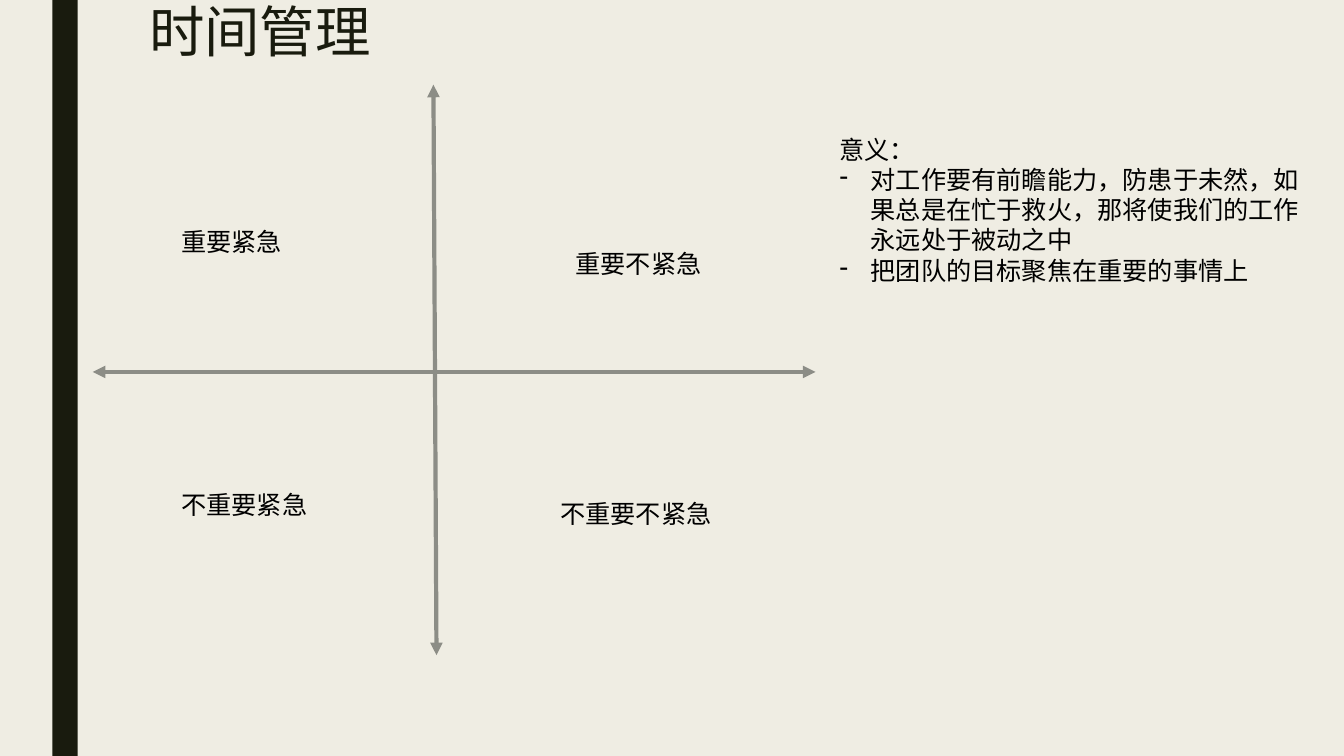
from dataclasses import dataclass

from lxml import etree
from pptx import Presentation
from pptx.dml.color import RGBColor
from pptx.enum.shapes import MSO_CONNECTOR, MSO_SHAPE
from pptx.enum.text import MSO_ANCHOR, MSO_AUTO_SIZE
from pptx.oxml.ns import qn
from pptx.util import Inches, Pt

RECT = MSO_SHAPE.RECTANGLE
STRAIGHT = MSO_CONNECTOR.STRAIGHT
MIDDLE, TOP = MSO_ANCHOR.MIDDLE, MSO_ANCHOR.TOP
FIT_SHAPE, NO_FIT = MSO_AUTO_SIZE.SHAPE_TO_FIT_TEXT, MSO_AUTO_SIZE.NONE

COLORS = {"paper": "EFEDE3", "ink": "191B0E", "axis": "8C8D86", "text": "000000"}
FONT = "Karla"
BODY_SIZE = 18
BULLET_INDENT = Inches(0.31)
LABEL_HEIGHT = 5.33

prs = Presentation()
prs.slide_width, prs.slide_height = Inches(13.333), Inches(7.5)


@dataclass
class Box:
    """A frame in percent of the slide's width and height."""
    left: float
    top: float
    width: float
    height: float


@dataclass
class Axis:
    """A double-headed line between two points, in percent of the slide."""
    x1: float
    y1: float
    x2: float
    y2: float


@dataclass
class Label:
    """The name of a quadrant and its place, in percent of the slide."""
    text: str
    left: float
    top: float
    width: float


AXES = [Axis(6.9, 49.2, 60.68, 49.2), Axis(32.25, 11.2, 32.48, 86.67)]
QUADRANTS = [
    Label("重要紧急", 12.75, 29.33, 9.08),
    Label("不重要紧急", 12.75, 64, 11.25),
    Label("重要不紧急", 42.08, 32.13, 11.4),
    Label("不重要不紧急", 40.95, 65.2, 13.13),
]
MEANING = [
    "意义:".replace(":", "："),
    "对工作要有前瞻能力，防患于未然，如果总是在忙于救火，那将使我们的工作永远处于被动之中",
    "把团队的目标聚焦在重要的事情上",
]


def rgb(name: str) -> RGBColor:
    """Look up a named colour."""
    return RGBColor.from_string(COLORS[name])


def across(share: float) -> int:
    """Turn a percentage of the slide's width into a length."""
    return round(prs.slide_width * share / 100)


def down(share: float) -> int:
    """Turn a percentage of the slide's height into a length."""
    return round(prs.slide_height * share / 100)


def frame(box: Box) -> tuple[int, int, int, int]:
    """Give the left, top, width and height of a box as lengths."""
    return across(box.left), down(box.top), across(box.width), down(box.height)


def add_text(s, box: Box, lines: list[str], size: float = BODY_SIZE,
             color: str = "text", wrap: bool = True, fit=FIT_SHAPE, anchor=TOP):
    """Add a text box with one paragraph per line and return its frame."""
    tf = s.shapes.add_textbox(*frame(box)).text_frame
    tf.text = "\n".join(lines)
    tf.word_wrap, tf.auto_size, tf.vertical_anchor = wrap, fit, anchor
    for p in tf.paragraphs:
        for r in p.runs:
            r.font.name, r.font.size = FONT, Pt(size)
            r.font.color.rgb = rgb(color)
            rPr = r.font._element
            rPr.set("lang", "zh-CN")
            etree.SubElement(rPr, qn("a:ea"), typeface=FONT)
    return tf


def add_dash(p) -> None:
    """Give a paragraph a hanging dash bullet."""
    pPr = p._p.get_or_add_pPr()
    pPr.set("marL", str(BULLET_INDENT))
    pPr.set("indent", str(-BULLET_INDENT))
    etree.SubElement(pPr, qn("a:buFontTx"))
    etree.SubElement(pPr, qn("a:buChar"), char="-")


def add_axis(s, axis: Axis) -> None:
    """Draw an axis with an arrowhead at each end."""
    line = s.shapes.add_connector(STRAIGHT, across(axis.x1), down(axis.y1),
                                  across(axis.x2), down(axis.y2))
    line.line.color.rgb, line.line.width = rgb("axis"), Pt(3)
    ln = line.line._get_or_add_ln()
    for end in ("a:headEnd", "a:tailEnd"):
        etree.SubElement(ln, qn(end), type="triangle")
    etree.SubElement(line._element.spPr, qn("a:effectLst"))


def add_band(s, box: Box) -> None:
    """Draw the dark vertical band."""
    sp = s.shapes.add_shape(RECT, *frame(box))
    sp.shadow.inherit = False
    sp.fill.solid()
    sp.fill.fore_color.rgb = rgb("ink")
    sp.line.fill.background()


s = prs.slides.add_slide(prs.slide_layouts[6])
s.background.fill.solid()
s.background.fill.fore_color.rgb = rgb("paper")

add_band(s, Box(3.9, 0, 1.88, 100))
title = add_text(s, Box(10.35, 0, 78.75, 9.2), ["时间管理"], 39.6, "ink",
                 fit=NO_FIT, anchor=MIDDLE)
title.paragraphs[0].line_spacing = 0.89

meaning = add_text(s, Box(61.73, 17.07, 36.83, 21.6), MEANING)
for p in meaning.paragraphs[1:]:
    add_dash(p)

for axis in AXES:
    add_axis(s, axis)
for label in QUADRANTS:
    add_text(s, Box(label.left, label.top, label.width, LABEL_HEIGHT),
             [label.text], wrap=False)

prs.save("out.pptx")
